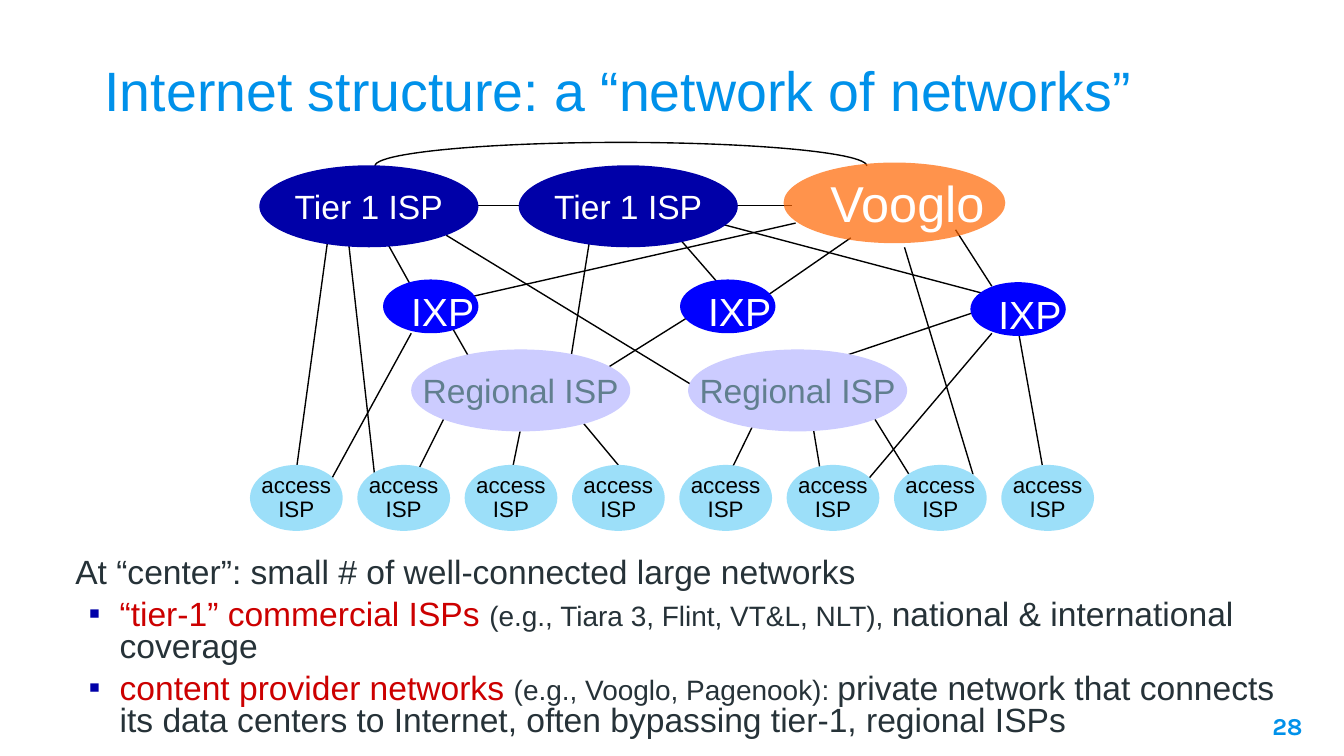
import pptx
import pptx.util
import pptx.dml.color
import pptx.enum.shapes
import pptx.enum.text
import pptx.oxml.ns
import lxml.etree

Inches = pptx.util.Inches
Pt = pptx.util.Pt
MSO_SHAPE = pptx.enum.shapes.MSO_SHAPE
ALIGN = pptx.enum.text.PP_ALIGN
ANCHOR = pptx.enum.text.MSO_ANCHOR
qn = pptx.oxml.ns.qn

THEME = {
    "font": "Arial", "number_font": "Karla",
    "accent": "0091EA", "text": "263238", "key": "CC0000", "bullet": "0000A8",
    "line": "000000", "white": "FFFFFF", "tier1": "0000A8", "ixp": "0000FF",
    "regional": "CCCCFF", "regional_text": "617F8F",
    "access": "9CDFF9", "access_text": "000000", "content": "FF6600",
    "title_pt": 29.7, "content_pt": 27, "ixp_pt": 21, "body_pt": 18,
    "example_pt": 15, "number_pt": 13, "access_pt": 12,
}


def add_text(shape, text, size, color, align=ALIGN.LEFT, font="font", spacing=None):
    tf = shape.text_frame
    tf.text = text
    for p in tf.paragraphs:
        p.alignment = align
        p.line_spacing = spacing
        for r in p.runs:
            r.font.size = Pt(THEME[size])
            r.font.name = THEME[font]
            r.font.color.rgb = pptx.dml.color.RGBColor.from_string(THEME[color])
    return tf


def add_ellipse(x, y, w, h, fill):
    sp = s.shapes.add_shape(MSO_SHAPE.OVAL, Inches(x), Inches(y), Inches(w), Inches(h))
    sp.shadow.inherit = False
    sp.fill.solid()
    sp.fill.fore_color.rgb = pptx.dml.color.RGBColor.from_string(THEME[fill])
    sp.line.fill.background()
    sp.text_frame.word_wrap = False
    sp.text_frame.vertical_anchor = ANCHOR.MIDDLE
    return sp


prs = pptx.Presentation()
prs.slide_width = Inches(10)
prs.slide_height = Inches(10) * 9 // 16
s = prs.slides.add_slide(prs.slide_layouts[6])
line_color = pptx.dml.color.RGBColor.from_string(THEME["line"])

title = s.shapes.add_textbox(Inches(0.68), Inches(0.28), Inches(8.62), Inches(0.73))
tf = add_text(title, "Internet structure: a “network of networks”", "title_pt", "accent")
tf.word_wrap = True
tf.vertical_anchor = ANCHOR.BOTTOM
tf.margin_top = tf.margin_bottom = Inches(0.1)

links = [
    (2.46, 1.63, 2.21, 3.46), (3.87, 3.21, 3.79, 3.6), (3.3, 3.12, 3.06, 3.6),
    (2.59, 1.77, 2.8, 3.65), (3.06, 2.48, 2.42, 3.65), (4.25, 3.04, 4.6, 3.46),
    (5.62, 3.13, 5.39, 3.6), (6.05, 3.18, 6.12, 3.6), (6.51, 3.12, 6.85, 3.67),
    (6.73, 1.84, 7.24, 3.53), (3.96, 1.53, 3.52, 1.53), (5.89, 1.53, 5.45, 1.53),
    (7.11, 1.71, 7.38, 2.13), (2.86, 1.77, 3.06, 2.13), (3.32, 2.36, 3.52, 2.71),
    (5.92, 1.66, 3.32, 2.25), (5.05, 1.77, 5.39, 2.16), (4.39, 1.77, 4.25, 2.65),
    (5.12, 2.36, 4.45, 2.78), (3.32, 1.75, 5.19, 2.89), (7.58, 2.48, 7.78, 3.6),
    (7.38, 2.48, 6.38, 3.66), (7.32, 2.3, 6.25, 2.66), (6.33, 1.77, 5.65, 2.24),
    (5.34, 1.66, 7.34, 2.19),
]
for link in links:
    cxn = s.shapes.add_connector(
        pptx.enum.shapes.MSO_CONNECTOR.STRAIGHT, *[Inches(v) for v in link])
    cxn.line.color.rgb = line_color
    cxn.line.width = Pt(0.75)
    lxml.etree.SubElement(cxn._element.spPr, qn("a:effectLst"))

arc = s.shapes.add_shape(MSO_SHAPE.ARC, Inches(2.79), Inches(1.06), Inches(3.66), Inches(0.35))
arc.adjustments[0] = 106.82
arc.adjustments[1] = 0
arc.shadow.inherit = False
arc.fill.background()
arc.line.color.rgb = line_color
arc.line.width = Pt(0.75)

for x in (1.93, 3.86):
    sp = add_ellipse(x, 1.23, 1.63, 0.61, "tier1")
    add_text(sp, "Tier 1 ISP", "body_pt", "white", ALIGN.CENTER)

for x in (3.06, 5.12):
    sp = add_ellipse(x, 2.6, 1.63, 0.61, "regional")
    add_text(sp, "Regional ISP", "body_pt", "regional_text", ALIGN.CENTER)

access_step = (7.45 - 1.86) / 7
for i in range(8):
    sp = add_ellipse(1.86 + access_step * i, 3.46, 0.69, 0.49, "access")
    add_text(sp, "access\nISP", "access_pt", "access_text", ALIGN.CENTER, spacing=0.9)

for x, y in ((2.85, 2.08), (5.06, 2.08), (7.22, 2.1)):
    add_ellipse(x, y, 0.71, 0.4, "ixp")
    label = s.shapes.add_textbox(Inches(x + 0.11), Inches(y + 0.01), Inches(0.68), Inches(0.45))
    add_text(label, "IXP", "ixp_pt", "white").word_wrap = False

body = s.shapes.add_textbox(Inches(0.44), Inches(4.12), Inches(9.25), Inches(1.5))
tf = body.text_frame
tf.word_wrap = True
tf.margin_left = tf.margin_right = Inches(0.07)
tf.margin_top = tf.margin_bottom = Inches(0.04)
points = [
    [("At “center”: small # of well-connected large networks", "body_pt", "text")],
    [("“tier-1” commercial ISPs ", "body_pt", "key"),
     ("(e.g., Tiara 3, Flint, VT&L, NLT), ", "example_pt", "text"),
     ("national & international coverage", "body_pt", "text")],
    [("content provider networks ", "body_pt", "key"),
     ("(e.g., Vooglo, Pagenook): ", "example_pt", "text"),
     ("private network that connects its data centers to Internet, "
      "often bypassing tier-1, regional ISPs", "body_pt", "text")],
]
for i, runs in enumerate(points):
    p = tf.paragraphs[0] if i == 0 else tf.add_paragraph()
    p.line_spacing = 0.8
    pPr = p._p.get_or_add_pPr()
    if i == 0:
        pPr.set("marL", str(Inches(0.05)))
    else:
        p.level = 1
        p.space_before = Pt(5)
        pPr.set("marL", str(Inches(0.38)))
        pPr.set("indent", str(Inches(-0.23)))
        clr = lxml.etree.SubElement(pPr, qn("a:buClr"))
        lxml.etree.SubElement(clr, qn("a:srgbClr"), val=THEME["bullet"])
        lxml.etree.SubElement(pPr, qn("a:buFont"), typeface=THEME["font"])
        lxml.etree.SubElement(pPr, qn("a:buChar"), char="▪")
        tabs = lxml.etree.SubElement(pPr, qn("a:tabLst"))
        lxml.etree.SubElement(tabs, qn("a:tab"), pos=str(Inches(0.28)), algn="l")
    for text, size, color in runs:
        r = p.add_run()
        r.text = text
        r.font.name = THEME["font"]
        r.font.size = Pt(THEME[size])
        r.font.color.rgb = pptx.dml.color.RGBColor.from_string(THEME[color])

provider = add_ellipse(5.83, 1.21, 1.65, 0.6, "content")
color = provider._element.spPr.find(qn("a:solidFill"))[0]
lxml.etree.SubElement(color, qn("a:alpha"), val="70000")
label = s.shapes.add_textbox(Inches(6.08), Inches(1.23), Inches(1.42), Inches(0.56))
add_text(label, "Vooglo", "content_pt", "white").word_wrap = False

number = s.shapes.add_textbox(Inches(9.19), Inches(5.19), Inches(0.6), Inches(0.43))
tf = add_text(number, "28", "number_pt", "accent", ALIGN.RIGHT, "number_font")
tf.word_wrap = True
tf.margin_top = tf.margin_bottom = Inches(0.1)
tf.paragraphs[0].runs[0].font.bold = True

prs.save("out.pptx")
